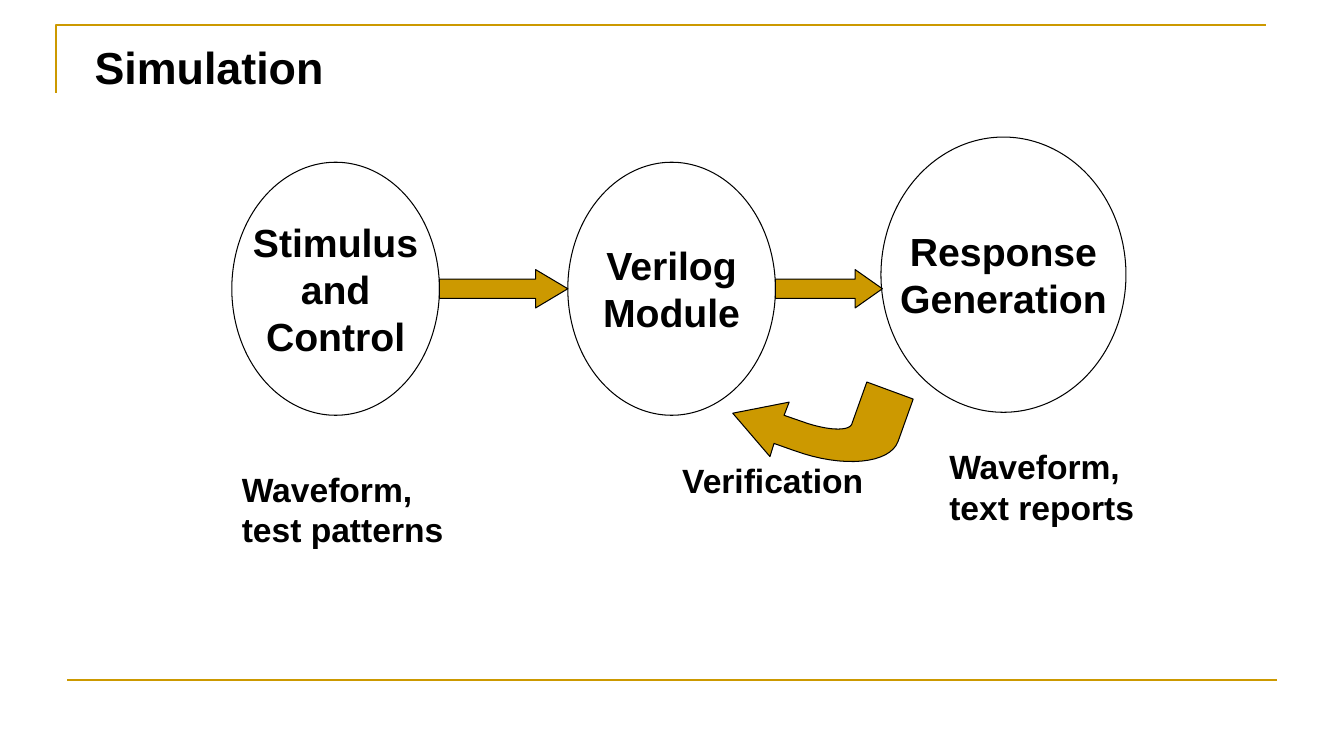
from pptx import Presentation
from pptx.dml.color import RGBColor
from pptx.enum.shapes import MSO_CONNECTOR, MSO_SHAPE
from pptx.enum.text import MSO_ANCHOR, MSO_AUTO_SIZE, PP_ALIGN
from pptx.oxml.ns import qn
from pptx.util import Pt

GOLD, BLACK, WHITE = "CC9900", "000000", "FFFFFF"


def color(code):
    """Turn a hex string into a colour."""
    return RGBColor.from_string(code)


def paint(shape, fill, line, width):
    """Set fill, outline and no shadow."""
    shape.shadow.inherit = False
    if fill:
        shape.fill.solid()
        shape.fill.fore_color.rgb = color(fill)
    else:
        shape.fill.background()
    shape.line.color.rgb = color(line)
    shape.line.width = Pt(width)


def write(shape, lines, size, align):
    """Write bold lines, one paragraph each, without wrapping."""
    frame = shape.text_frame
    frame.word_wrap = False
    frame.text = "\n".join(lines)
    for para in frame.paragraphs:
        para.alignment = align
        font = para.font
        font.name, font.size, font.bold = "Arial", Pt(size), True
        font.color.rgb = color(BLACK)


def label(slide, box, lines, size=24):
    """Place a left-aligned text box."""
    shape = slide.shapes.add_textbox(*map(Pt, box))
    write(shape, lines, size, PP_ALIGN.LEFT)
    shape.text_frame.auto_size = MSO_AUTO_SIZE.SHAPE_TO_FIT_TEXT


def outline(slide, left, top, points, closed):
    """Build a freeform from points relative to its corner."""
    units = [((left + x) * 100, (top + y) * 100) for x, y in points]
    builder = slide.shapes.build_freeform(*units[0], scale=Pt(1) / 100)
    builder.add_line_segments(units[1:], close=closed)
    return builder.convert_to_shape()


def curve(start, pull, push, end, steps=16):
    """Return points along a cubic curve, both ends included."""
    points = []
    for step in range(steps + 1):
        t = step / steps
        u = 1 - t
        points.append(tuple(
            u**3 * a + 3 * u * u * t * b + 3 * u * t * t * c + t**3 * d
            for a, b, c, d in zip(start, pull, push, end)))
    return points


def border(slide, left, top, width, height):
    """Draw the corner rule above and the straight rule below."""
    corner = outline(slide, left, top, [(0, 48.2), (0, 0), (width, 0)], False)
    paint(corner, None, GOLD, 1.5)
    x, y = left + 7.9, top + height
    rule = slide.shapes.add_connector(
        MSO_CONNECTOR.STRAIGHT, Pt(x), Pt(y), Pt(x + width), Pt(y))
    rule.line.color.rgb = color(GOLD)
    rule.line.width = Pt(1.5)
    props = rule._element.spPr
    props.append(props.makeelement(qn("a:effectLst"), {}))


def stage(slide, box, lines):
    """Draw one oval stage with its name."""
    oval = slide.shapes.add_shape(MSO_SHAPE.OVAL, *map(Pt, box))
    paint(oval, WHITE, BLACK, 0.75)
    write(oval, lines, 28, PP_ALIGN.CENTER)
    oval.text_frame.vertical_anchor = MSO_ANCHOR.MIDDLE


def arrow(slide, box, head):
    """Draw a block arrow to the right."""
    shape = slide.shapes.add_shape(MSO_SHAPE.RIGHT_ARROW, *map(Pt, box))
    shape.adjustments[0], shape.adjustments[1] = 0.5, head
    paint(shape, GOLD, BLACK, 0.75)


def feedback(slide, left, top):
    """Draw the bent arrow back to the module."""
    outer = curve((43.9, 49), (79.2, 61.9), (112.3, 58.3), (118.1, 42.5))
    inner = curve((85, 30.2), (82.8, 35.3), (67.7, 34.6), (51.1, 28.8))
    points = [(0, 22.3), (26.6, 53.3), (29.5, 43.9), *outer,
              (128.9, 12.2), (95.8, 0), *inner, (36.7, 23.8), (40.3, 14.4)]
    paint(outline(slide, left, top, points, True), GOLD, BLACK, 0.75)


def flow(slide, left, top):
    """Draw the stages, arrows and captions of the simulation."""
    wide, tall = 148.3, 180.7
    second, third = left + 240, left + 463.7
    label(slide, (left, top + 215.3, 159.8, 65.5),
          ["Waveform,", "test patterns"])
    label(slide, (left + 505.4, top + 199.4, 147.6, 65.5),
          ["Waveform,", "text reports"])
    stage(slide, (left, top, wide, tall), ["Stimulus", "and", "Control"])
    stage(slide, (second, top, wide, tall), ["Verilog", "Module"])
    stage(slide, (third, top - 18, 175, 196.6), ["Response", "Generation"])
    level = top + tall / 2 - 13.7
    start = left + wide
    arrow(slide, (start, level, second - start, 27.4), 0.84)
    start = second + wide
    arrow(slide, (start, level, third - start + 1, 27.4), 0.71)
    feedback(slide, left + 357.8, top + 157)
    label(slide, (left + 314.6, top + 208.8, 145.4, 36),
          ["Verification"])


def main():
    """Build and save the slide."""
    deck = Presentation()
    deck.slide_width, deck.slide_height = Pt(960), Pt(540)
    slide = deck.slides.add_slide(deck.slide_layouts[6])
    border(slide, 40.3, 18, 864, 468)
    flow(slide, 165.6, 115.9)
    label(slide, (60.5, 24.5, 179.3, 46), ["Simulation"], 32)
    deck.save("out.pptx")


if __name__ == "__main__":
    main()
